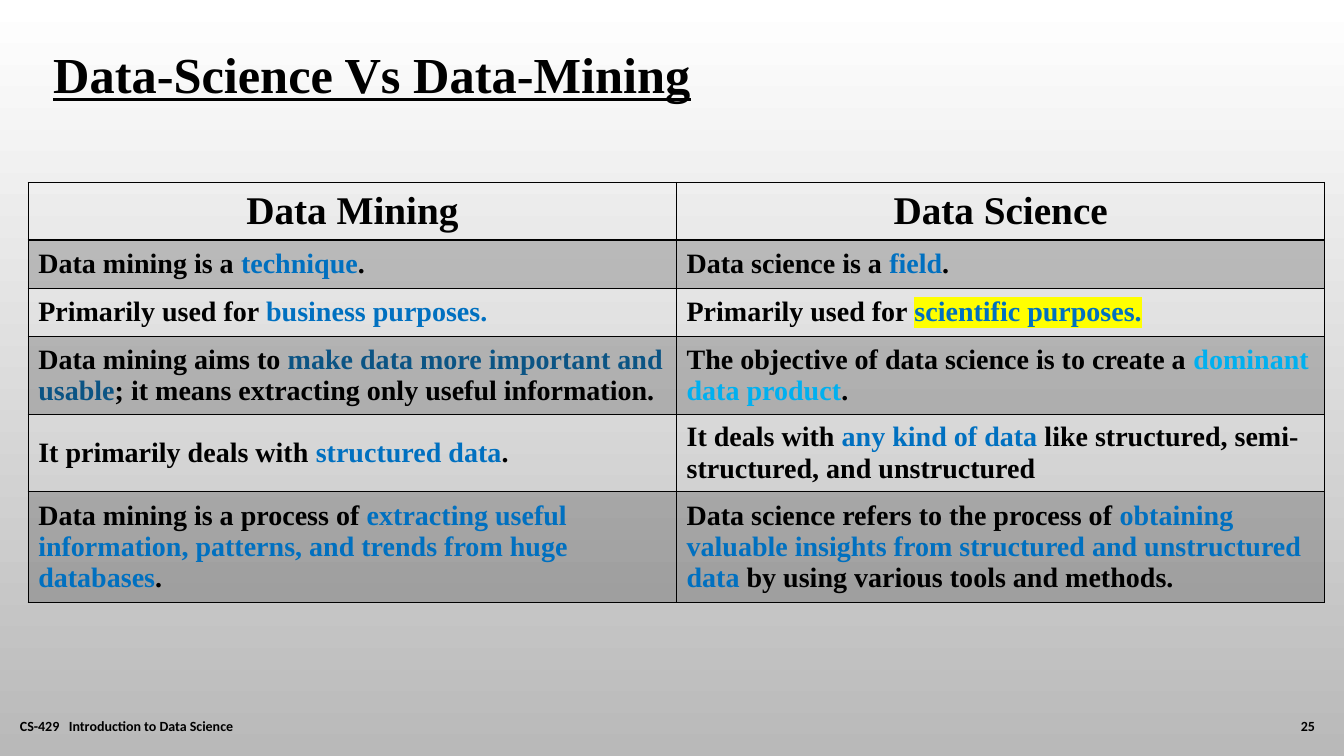
from lxml.etree import SubElement
from pptx import Presentation
from pptx.dml.color import RGBColor
from pptx.enum.text import MSO_ANCHOR, PP_ALIGN
from pptx.oxml.ns import qn
from pptx.util import Inches, Pt

COLORS = {
    "black": "000000", "white": "FFFFFF", "gray": "B9B9B9", "blue": "0070C0",
    "navy": "0B5484", "sky": "00B0F0", "yellow": "FFFF00",
}
HEADERS = ["Data Mining", "Data Science"]
# Each cell is a list of runs: plain text, or (text, color[, highlight]).
ROWS = [
    [["Data mining is a ", ("technique", "blue"), "."],
     ["Data science is a ", ("field", "blue"), "."]],
    [["Primarily used for ", ("business purposes.", "blue")],
     ["Primarily used for ", ("scientific purposes.", "blue", "yellow")]],
    [["Data mining aims to ", ("make data more important and usable", "navy"),
      "; it means extracting only useful information."],
     ["The objective of data science is to create a ",
      ("dominant data product", "sky"), "."]],
    [["It primarily deals with ", ("structured data", "blue"), "."],
     ["It deals with ", ("any kind of data ", "blue"),
      "like structured, semi-structured, and unstructured"]],
    [["Data mining is a process of ",
      ("extracting useful information, patterns, and trends from huge databases", "blue"),
      "."],
     ["Data science refers to the process of ",
      ("obtaining valuable insights from structured and unstructured data ", "blue"),
      "by using various tools and methods."]],
]
ROW_HEIGHTS = [0.57, 0.48, 0.48, 0.77, 0.77, 1.1]


def rgb(name):
    return RGBColor.from_string(COLORS[name])


def add_run(p, text, size=20, font="Times New Roman", color="black",
            highlight=None, underline=None):
    r = p.add_run()
    r.text = text
    r.font.size, r.font.name, r.font.bold = Pt(size), font, True
    r.font.underline = underline
    r.font.color.rgb = rgb(color)
    if highlight:
        rPr = r.font._element
        mark = SubElement(rPr, qn("a:highlight"))
        SubElement(mark, qn("a:srgbClr"), val=COLORS[highlight])
        rPr.find(qn("a:latin")).addprevious(mark)


def add_border(cell, side, width):
    ln = SubElement(cell._tc.get_or_add_tcPr(), qn(f"a:ln{side}"), w=str(Pt(width)))
    fill = SubElement(ln, qn("a:solidFill"))
    SubElement(fill, qn("a:srgbClr"), val=COLORS["black"])


def shade(cell, percent):
    """Fill the cell with black at the given opacity."""
    cell.fill.solid()
    cell.fill.fore_color.rgb = rgb("black")
    clr = cell._tc.tcPr.find(qn("a:solidFill")).find(qn("a:srgbClr"))
    SubElement(clr, qn("a:alpha"), val=str(percent * 1000))


class Deck:
    def __init__(self):
        self.prs = Presentation()
        self.prs.slide_width, self.prs.slide_height = Inches(13.33), Inches(7.5)
        self.s = self.prs.slides.add_slide(self.prs.slide_layouts[6])

    def background(self, top, bottom):
        fill = self.s.background.fill
        fill.gradient()
        fill.gradient_angle = 270
        for stop, color in zip(fill.gradient_stops, (top, bottom)):
            stop.color.rgb = rgb(color)

    def text(self, text, x, y, w, h, align=PP_ALIGN.LEFT, anchor=MSO_ANCHOR.MIDDLE,
             **style):
        sp = self.s.shapes.add_textbox(Inches(x), Inches(y), Inches(w), Inches(h))
        tf = sp.text_frame
        tf.word_wrap = True
        tf.vertical_anchor = anchor
        tf.paragraphs[0].alignment = align
        add_run(tf.paragraphs[0], text, **style)

    def cell(self, cell, runs, header=False, shaded=False):
        cell.vertical_anchor = MSO_ANCHOR.MIDDLE
        p = cell.text_frame.paragraphs[0]
        p.alignment = PP_ALIGN.CENTER if header else PP_ALIGN.LEFT
        for run in runs:
            text, color, highlight = (
                (run, "black", None) if isinstance(run, str) else (*run, None)[:3])
            add_run(p, text, size=28 if header else 20, color=color, highlight=highlight)
        for side in "LRTB":
            add_border(cell, side, 2 if header and side == "B" else 1)
        if shaded:
            shade(cell, 20)
        else:
            cell.fill.background()

    def table(self, headers, rows, heights, x, y, w):
        frame = self.s.shapes.add_table(len(heights), len(headers), Inches(x), Inches(y),
                                        Inches(w), Inches(sum(heights)))
        table = frame.table
        table.horz_banding = table.first_row = False
        for row, height in zip(table.rows, heights):
            row.height = Inches(height)
        for i, row in enumerate([[[h] for h in headers], *rows]):
            for j, runs in enumerate(row):
                self.cell(table.cell(i, j), runs, header=i == 0, shaded=i % 2 == 1)


def main():
    deck = Deck()
    deck.background("white", "gray")
    deck.text("Data-Science Vs Data-Mining", 0.43, 0.38, 12.23, 0.71,
              anchor=MSO_ANCHOR.TOP, size=36, underline=True)
    footer = {"size": 10, "font": "Calibri"}
    deck.text("CS-429   Introduction to Data Science", 0.1, 7, 7.3, 0.4, **footer)
    deck.text("25", 12.3, 7, 0.84, 0.4, align=PP_ALIGN.RIGHT, **footer)
    deck.table(HEADERS, ROWS, ROW_HEIGHTS, 0.28, 1.81, 12.86)
    deck.prs.save("out.pptx")


if __name__ == "__main__":
    main()
